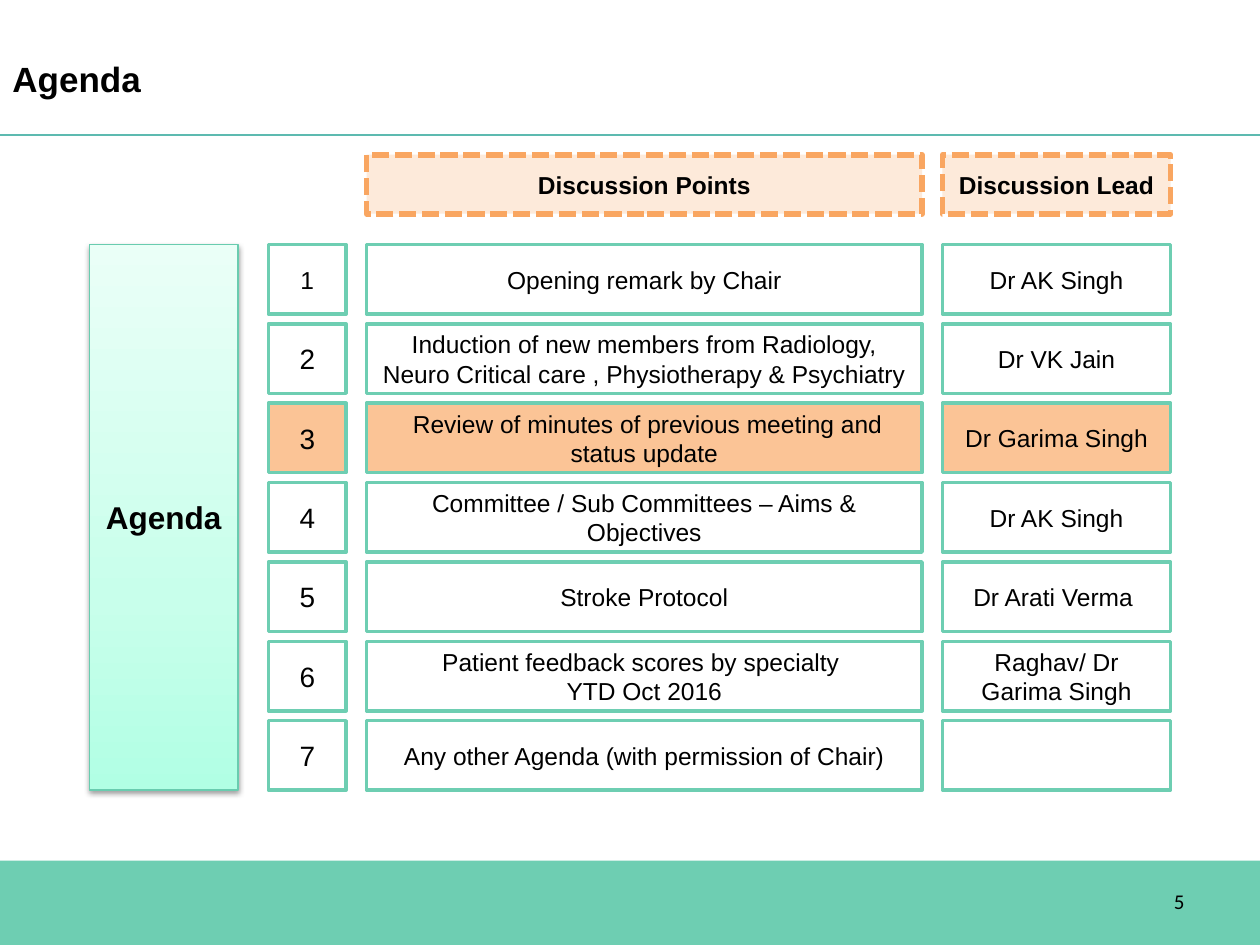
from copy import deepcopy
from dataclasses import dataclass
from typing import Optional

from lxml import etree
from pptx import Presentation
from pptx import util as u
from pptx.dml.color import RGBColor
from pptx.enum import dml, shapes, text
from pptx.oxml import parse_xml
from pptx.oxml.ns import nsdecls, qn

BLACK = RGBColor(0x00, 0x00, 0x00)
WHITE = RGBColor(0xFF, 0xFF, 0xFF)
GREEN = RGBColor(0x6E, 0xCE, 0xB2)
TEAL = RGBColor(0x5D, 0xBA, 0xB0)
PANEL_LINE = RGBColor(0x69, 0xCC, 0xAF)
ORANGE = RGBColor(0xF9, 0xA6, 0x61)
PEACH = RGBColor(0xFD, 0xEA, 0xDA)
HIGHLIGHT = RGBColor(0xFB, 0xC4, 0x96)
PANEL_STOPS = (
    (0, RGBColor(0xB1, 0xFF, 0xE4)),
    (0.35, RGBColor(0xC8, 0xFF, 0xEB)),
    (1, RGBColor(0xEA, 0xFF, 0xF7)),
)

ROW_TOP, ROW_HEIGHT, ROW_PITCH = 4.93, 1.4, 1.6
HEADER_TOP, HEADER_HEIGHT = 3.12, 1.19
CELL_INSETS = (0.2, 0.1)
NO_INSETS = (0, 0)
DEFAULT_INSETS = (0.25, 0.13)


@dataclass(frozen=True)
class Column:
    left: float
    width: float


@dataclass(frozen=True)
class Box:
    """Rectangle in centimetres."""
    left: float
    top: float
    width: float
    height: float


@dataclass(frozen=True)
class Outline:
    color: RGBColor
    width: float
    dash: Optional[dml.MSO_LINE] = None


@dataclass(frozen=True)
class AgendaItem:
    topic: str
    lead: str
    fill: RGBColor = WHITE
    number_size: int = 16


NUMBER = Column(5.41, 1.57)
TOPIC = Column(7.39, 11.2)
LEAD = Column(19, 4.6)
CELL_LINE = Outline(GREEN, 2)
HEADER_LINE = Outline(ORANGE, 3.25, dml.MSO_LINE.SQUARE_DOT)

ITEMS = (
    AgendaItem("Opening remark by Chair", "Dr AK Singh", number_size=14),
    AgendaItem("Induction of new members from Radiology, Neuro Critical care , "
               "Physiotherapy & Psychiatry", "Dr VK Jain"),
    AgendaItem(" Review of minutes of previous meeting and status update",
               "Dr Garima Singh", HIGHLIGHT),
    AgendaItem("Committee / Sub Committees – Aims & Objectives", "Dr AK Singh"),
    AgendaItem("Stroke Protocol", "Dr Arati Verma "),
    AgendaItem("Patient feedback scores by specialty \nYTD Oct 2016",
               "Raghav/ Dr Garima Singh"),
    AgendaItem("Any other Agenda (with permission of Chair)", ""),
)


def write_text(shape, content: str, size: int, bold: bool = False,
               align=text.PP_ALIGN.CENTER, insets=DEFAULT_INSETS,
               font_name: str = "Arial") -> None:
    frame = shape.text_frame
    side, edge = (u.Cm(inset) for inset in insets)
    frame_format = {
        "word_wrap": True,
        "vertical_anchor": text.MSO_ANCHOR.MIDDLE,
        "margin_left": side, "margin_right": side,
        "margin_top": edge, "margin_bottom": edge,
    }
    for name, value in frame_format.items():
        setattr(frame, name, value)
    frame.text = content
    for paragraph in frame.paragraphs:
        paragraph.alignment = align
        for run in paragraph.runs:
            font_format = {"name": font_name, "size": u.Pt(size), "bold": bold}
            for name, value in font_format.items():
                setattr(run.font, name, value)
            run.font.color.rgb = BLACK


def add_rectangle(slide, box: Box, fill: RGBColor,
                  outline: Optional[Outline] = None):
    shape = slide.shapes.add_shape(
        shapes.MSO_SHAPE.RECTANGLE, u.Cm(box.left), u.Cm(box.top),
        u.Cm(box.width), u.Cm(box.height))
    shape.shadow.inherit = False
    shape.fill.solid()
    shape.fill.fore_color.rgb = fill
    if outline is None:
        shape.line.fill.background()
    else:
        shape.line.color.rgb = outline.color
        shape.line.width = u.Pt(outline.width)
        if outline.dash is not None:
            shape.line.dash_style = outline.dash
    return shape


def add_label(slide, box: Box, content: str, size: int, **text_format) -> None:
    label = slide.shapes.add_textbox(
        u.Cm(box.left), u.Cm(box.top), u.Cm(box.width), u.Cm(box.height))
    write_text(label, content, size, **text_format)


def add_rule(slide, top: float, width: float) -> None:
    rule = slide.shapes.add_connector(
        shapes.MSO_CONNECTOR.STRAIGHT, 0, u.Cm(top), u.Cm(width), u.Cm(top))
    rule.line.color.rgb = TEAL
    rule.line.width = u.Pt(0.75)
    etree.SubElement(rule._element.spPr, qn("a:effectLst"))


def add_panel(slide) -> None:
    """Draw the tall gradient box that spans all agenda rows."""
    height = (len(ITEMS) - 1) * ROW_PITCH + ROW_HEIGHT
    panel = add_rectangle(slide, Box(1.8, ROW_TOP, 3, height), WHITE,
                          Outline(PANEL_LINE, 0.75))
    panel.fill.gradient()
    panel.fill.gradient_angle = 90
    properties = panel._element.spPr
    stop_list = properties.find(".//" + qn("a:gsLst"))
    stop_list.append(deepcopy(stop_list[-1]))
    for stop, (position, color) in zip(panel.fill.gradient_stops, PANEL_STOPS):
        stop.position = position
        stop.color.rgb = color
    properties.find(qn("a:effectLst")).append(parse_xml(
        f'<a:outerShdw {nsdecls("a")} blurRad="{u.Pt(3.1)}" dist="{u.Pt(1.6)}" '
        'dir="5400000" rotWithShape="0"><a:srgbClr val="000000">'
        '<a:alpha val="38000"/></a:srgbClr></a:outerShdw>'))
    write_text(panel, "Agenda", 18, bold=True)


def add_header(slide, column: Column, content: str) -> None:
    box = Box(column.left, HEADER_TOP, column.width, HEADER_HEIGHT)
    header = add_rectangle(slide, box, PEACH, HEADER_LINE)
    write_text(header, content, 14, bold=True, insets=CELL_INSETS)


def add_row(slide, index: int, item: AgendaItem) -> None:
    cells = (
        (TOPIC, item.topic, 14, CELL_INSETS),
        (NUMBER, str(index + 1), item.number_size, NO_INSETS),
        (LEAD, item.lead, 14, CELL_INSETS),
    )
    top = ROW_TOP + index * ROW_PITCH
    for column, content, size, insets in cells:
        box = Box(column.left, top, column.width, ROW_HEIGHT)
        cell = add_rectangle(slide, box, item.fill, CELL_LINE)
        write_text(cell, content, size, insets=insets)


def main() -> None:
    presentation = Presentation()
    presentation.slide_width = u.Cm(25.4)
    presentation.slide_height = u.Cm(19.05)
    slide = presentation.slides.add_slide(presentation.slide_layouts[6])

    add_rectangle(slide, Box(0, 17.35, 25.4, 1.7), GREEN)
    add_rule(slide, 2.72, 25.4)
    add_label(slide, Box(18.2, 17.65, 5.93, 1.02), "5", 12,
              align=text.PP_ALIGN.RIGHT, font_name="Calibri")
    add_label(slide, Box(0, 0.41, 22.86, 2.34), "Agenda", 20, bold=True,
              align=text.PP_ALIGN.LEFT)
    add_panel(slide)
    add_header(slide, TOPIC, "Discussion Points")
    add_header(slide, LEAD, "Discussion Lead")
    for index, item in enumerate(ITEMS):
        add_row(slide, index, item)

    presentation.save("out.pptx")


if __name__ == "__main__":
    main()
